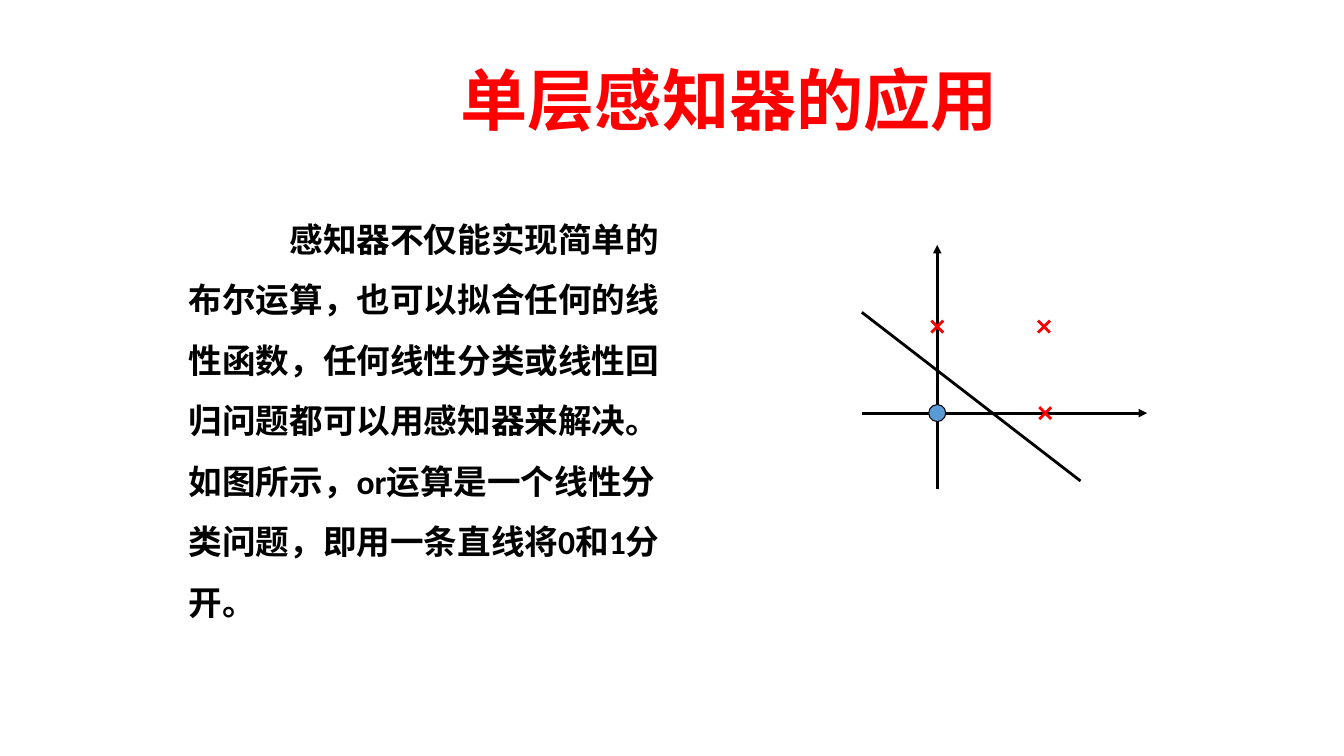
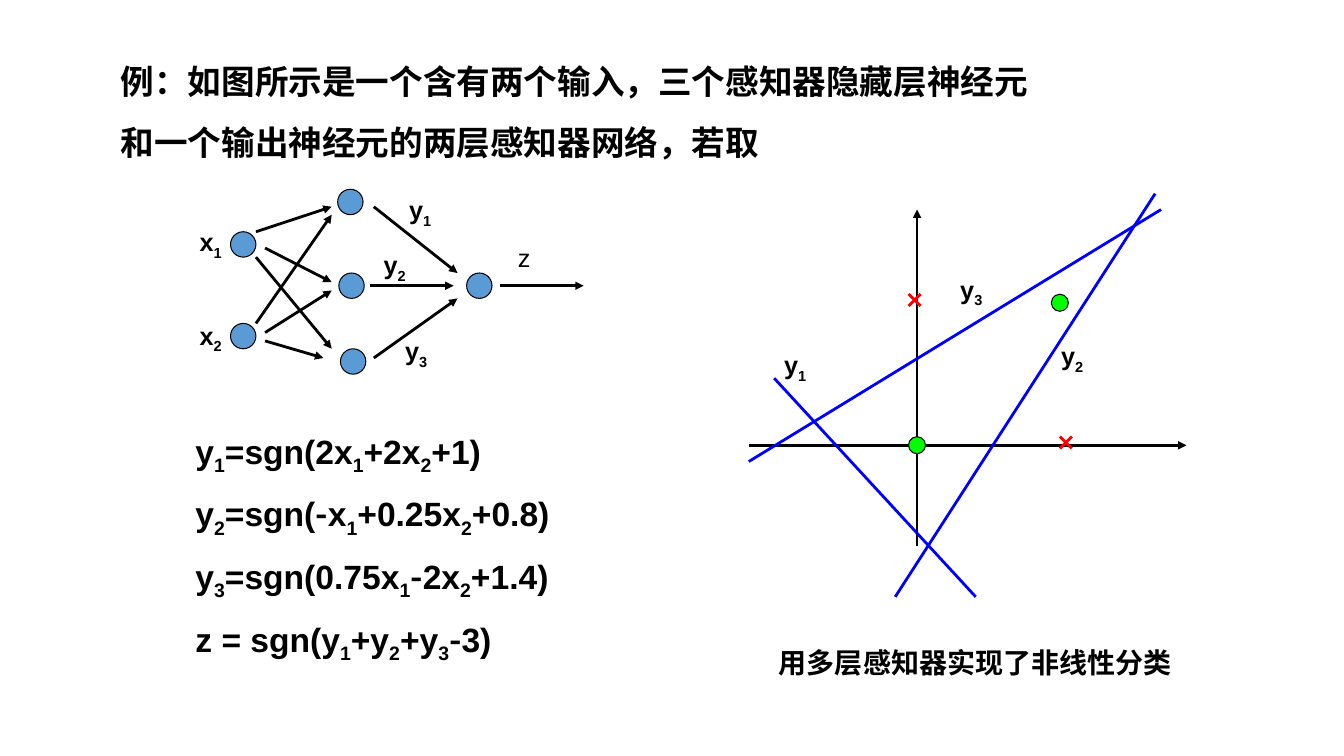
from dataclasses import dataclass
from itertools import groupby

from pptx import Presentation
from pptx.dml.color import RGBColor
from pptx.enum.shapes import MSO_CONNECTOR, MSO_SHAPE
from pptx.enum.text import MSO_ANCHOR, MSO_AUTO_SIZE, PP_ALIGN
from pptx.oxml.ns import qn
from pptx.oxml.xmlchemy import OxmlElement
from pptx.shapes.base import BaseShape
from pptx.slide import Slide
from pptx.util import Cm, Pt

COLORS = {
    "ink": "000000",
    "red": "FF0000",
    "neuron": "5B9BD5",
    "green": "00FF00",
    "boundary": "0000FF",
}
CHINESE_FONT = "Noto Sans CJK SC"
LABEL_SIZE = 1.27
NEURON_SIZE = 0.64
POINT_SIZE = 0.43


@dataclass(frozen=True)
class Area:
    """A rectangle in centimetres."""
    left: float
    top: float
    width: float
    height: float


@dataclass(frozen=True)
class TextStyle:
    """Font and paragraph settings of a text."""
    size: int
    font: str = "Arial"
    color: str = "ink"
    bold: bool = True
    align: PP_ALIGN = PP_ALIGN.LEFT
    line_spacing: float = 1.0
    before_percent: int = 0
    first_indent: float = 0


@dataclass(frozen=True)
class Stroke:
    """A straight line in centimetres, with or without an arrowhead."""
    x1: float
    y1: float
    x2: float
    y2: float
    color: str = "ink"
    arrow: bool = False


@dataclass(frozen=True)
class Dot:
    """A filled circle given by its centre."""
    x: float
    y: float
    size: float = POINT_SIZE
    color: str = "neuron"


@dataclass(frozen=True)
class Label:
    """A short symbol placed in a diagram."""
    text: str
    left: float
    top: float
    bold: bool = True


TITLE = TextStyle(48, "Calibri", "red", align=PP_ALIGN.CENTER)
PROSE = TextStyle(24, "Calibri", line_spacing=1.5, first_indent=2.54)
EXAMPLE = TextStyle(24, line_spacing=1.5)
EQUATIONS = TextStyle(24, before_percent=50)
CAPTION = TextStyle(20, before_percent=50)


def add_marked_runs(paragraph, text: str) -> None:
    """Write text in runs; an underscore makes the next character a subscript."""
    marked = [
        (char, "sub" if previous == "_" else "minus" if char == "-" else "plain")
        for previous, char in zip(" " + text, text) if char != "_"
    ]
    for kind, members in groupby(marked, key=lambda pair: pair[1]):
        span = paragraph.add_run()
        span.text = "".join(char for char, _ in members)
        if kind == "sub":
            span.font._element.set("baseline", "-25000")
        elif kind == "minus":
            span.font.name = CHINESE_FONT


def format_paragraph(paragraph, style: TextStyle) -> None:
    """Apply alignment, spacing and indent, and style every run."""
    paragraph.alignment = style.align
    paragraph.line_spacing = style.line_spacing
    paragraph.space_before = Pt(0)
    properties = paragraph._p.get_or_add_pPr()
    properties.set("marL", "0")
    properties.set("indent", str(int(Cm(style.first_indent))))
    spacing = properties.find(qn("a:spcBef"))
    spacing.remove(spacing[0])
    percent = OxmlElement("a:spcPct")
    percent.set("val", str(style.before_percent * 1000))
    spacing.append(percent)
    properties.append(OxmlElement("a:buNone"))
    for span in paragraph.runs:
        span.font.size = Pt(style.size)
        span.font.bold = style.bold
        span.font.color.rgb = RGBColor.from_string(COLORS[style.color])
        span.font.name = span.font.name or style.font
        east_asian = OxmlElement("a:ea")
        east_asian.set("typeface", CHINESE_FONT)
        span.font._element.append(east_asian)


def fill_text(box: BaseShape, area: Area, lines: list[str], style: TextStyle) -> None:
    """Move a box or placeholder and fill it with one paragraph per line."""
    box.left, box.top = Cm(area.left), Cm(area.top)
    box.width, box.height = Cm(area.width), Cm(area.height)
    frame = box.text_frame
    frame.word_wrap = True
    frame.auto_size = MSO_AUTO_SIZE.SHAPE_TO_FIT_TEXT
    frame.vertical_anchor = MSO_ANCHOR.TOP
    for index, line in enumerate(lines):
        para = frame.add_paragraph() if index else frame.paragraphs[0]
        add_marked_runs(para, line)
        format_paragraph(para, style)


def add_text(page: Slide, area: Area, text: str, style: TextStyle) -> None:
    """Add a text box with one paragraph."""
    box = page.shapes.add_textbox(0, 0, Cm(area.width), Cm(area.height))
    fill_text(box, area, [text], style)


def add_label(page: Slide, label: Label) -> None:
    """Add a diagram symbol."""
    style = TextStyle(18, bold=label.bold, before_percent=50)
    area = Area(label.left, label.top, LABEL_SIZE, LABEL_SIZE)
    add_text(page, area, label.text, style)


def add_stroke(shapes, stroke: Stroke) -> None:
    """Draw a line in a slide or in a group."""
    line = shapes.add_connector(
        MSO_CONNECTOR.STRAIGHT,
        Cm(stroke.x1), Cm(stroke.y1), Cm(stroke.x2), Cm(stroke.y2),
    )
    line.line.color.rgb = RGBColor.from_string(COLORS[stroke.color])
    line.line.width = Pt(2)
    if stroke.arrow:
        tail = OxmlElement("a:tailEnd")
        tail.set("type", "triangle")
        line.line._get_or_add_ln().append(tail)
    line._element.spPr.append(OxmlElement("a:effectLst"))


def add_cross(page: Slide, x: float, y: float) -> None:
    """Draw a red cross around its centre."""
    arm = 0.15
    group = page.shapes.add_group_shape()
    for rise in (arm, -arm):
        add_stroke(group.shapes, Stroke(x + arm, y - rise, x - arm, y + rise, "red"))


def add_dot(page: Slide, dot: Dot) -> None:
    """Draw an outlined circle around its centre."""
    corner = dot.size / 2
    circle = page.shapes.add_shape(
        MSO_SHAPE.OVAL,
        Cm(dot.x - corner), Cm(dot.y - corner), Cm(dot.size), Cm(dot.size),
    )
    circle.shadow.inherit = False
    circle.fill.solid()
    circle.fill.fore_color.rgb = RGBColor.from_string(COLORS[dot.color])
    circle.line.color.rgb = RGBColor.from_string(COLORS["ink"])
    circle.line.width = Pt(0.75)


def add_plot(page: Slide, strokes: list[Stroke], dots: list[Dot],
             crosses: list[tuple[float, float]]) -> None:
    """Draw lines, then the two classes of points."""
    for stroke in strokes:
        add_stroke(page.shapes, stroke)
    for dot in dots:
        add_dot(page, dot)
    for x, y in crosses:
        add_cross(page, x, y)


def build_application(deck) -> None:
    """Build the slide on uses of the single-layer perceptron."""
    page = deck.slides.add_slide(deck.slide_layouts[1])
    fill_text(page.shapes.title, Area(10.52, 1.35, 15.72, 2.31), ["单层感知器的应用"], TITLE)
    prose = (
        "感知器不仅能实现简单的布尔运算，也可以拟合任何的线性函数，"
        "任何线性分类或线性回归问题都可以用感知器来解决。"
        "如图所示，or运算是一个线性分类问题，即用一条直线将0和1分开。"
    )
    fill_text(page.placeholders[1], Area(4.5, 4.88, 13.06, 11.02), [prose], PROSE)
    axis_x, axis_y = 23.62, 10.41
    add_plot(
        page,
        [
            Stroke(21.72, axis_y, 28.91, axis_y, arrow=True),
            Stroke(axis_x, 12.32, axis_x, 6.17, arrow=True),
            Stroke(21.72, 7.87, 27.23, 12.12),
        ],
        [Dot(axis_x, axis_y)],
        [(axis_x, 8.23), (26.34, axis_y), (26.31, 8.23)],
    )


def add_network(page: Slide) -> None:
    """Draw the two-layer network with its symbols."""
    neurons = [(6.13, 6.16), (6.13, 8.47), (8.83, 5.09), (8.86, 7.2), (8.9, 9.11), (12.08, 7.2)]
    links = [
        (6.45, 5.84, 8.36, 5.21), (6.68, 6.25, 8.36, 7.11), (6.45, 6.48, 8.36, 8.79),
        (6.45, 8.15, 8.36, 5.41), (6.68, 8.38, 8.36, 7.32), (6.68, 8.59, 8.15, 9.02),
        (9.42, 5.21, 11.53, 6.88), (9.32, 7.2, 11.43, 7.2), (9.42, 9.02, 11.53, 7.52),
        (12.6, 7.2, 14.71, 7.2),
    ]
    for x, y in neurons:
        add_dot(page, Dot(x, y, NEURON_SIZE))
    for link in links:
        add_stroke(page.shapes, Stroke(*link, arrow=True))
    for label in (
        Label("y_1", 10.06, 4.78), Label("y_2", 9.42, 6.17), Label("y_3", 9.96, 8.33),
        Label("x_1", 4.78, 5.59), Label("x_2", 4.78, 7.95), Label("z", 12.8, 5.99, bold=False),
    ):
        add_label(page, label)


def build_example(deck) -> None:
    """Build the slide with the two-layer network and its decision lines."""
    page = deck.slides.add_slide(deck.slide_layouts[1])
    example = (
        "例：如图所示是一个含有两个输入，三个感知器隐藏层神经元和"
        "一个输出神经元的两层感知器网络，若取"
    )
    fill_text(page.shapes.title, Area(2.79, 0.91, 24.21, 3.33), [example], EXAMPLE)
    equations = [
        "y_1=sgn(2x_1+2x_2+1)",
        "y_2=sgn(-x_1+0.25x_2+0.8)",
        "y_3=sgn(0.75x_1-2x_2+1.4)",
        "z = sgn(y_1+y_2+y_3-3)",
    ]
    fill_text(page.placeholders[1], Area(4.67, 10.72, 10.46, 5.89), equations, EQUATIONS)
    add_network(page)
    axis_x, axis_y = 23.11, 11.22
    add_plot(
        page,
        [
            Stroke(18.87, axis_y, 29.9, axis_y, arrow=True),
            Stroke(axis_x, 13.77, axis_x, 5.28, arrow=True),
            Stroke(18.87, 11.63, 29.26, 5.28, "boundary"),
            Stroke(22.56, 15.04, 29.11, 4.88, "boundary"),
            Stroke(19.51, 9.53, 24.59, 15.04, "boundary"),
        ],
        [Dot(axis_x, axis_y, color="green"), Dot(26.71, 7.63, color="green")],
        [(23.05, 7.56), (26.86, 11.15)],
    )
    for label in (
        Label("y_1", 19.51, 8.69), Label("y_2", 26.49, 8.46), Label("y_3", 23.95, 6.78),
    ):
        add_label(page, label)
    add_text(page, Area(19.38, 16.15, 11.51, 1.12), "用多层感知器实现了非线性分类", CAPTION)


def main() -> None:
    """Build and save the deck."""
    deck = Presentation()
    deck.slide_width, deck.slide_height = Cm(33.87), Cm(19.05)
    build_application(deck)
    build_example(deck)
    deck.save("out.pptx")


main()
